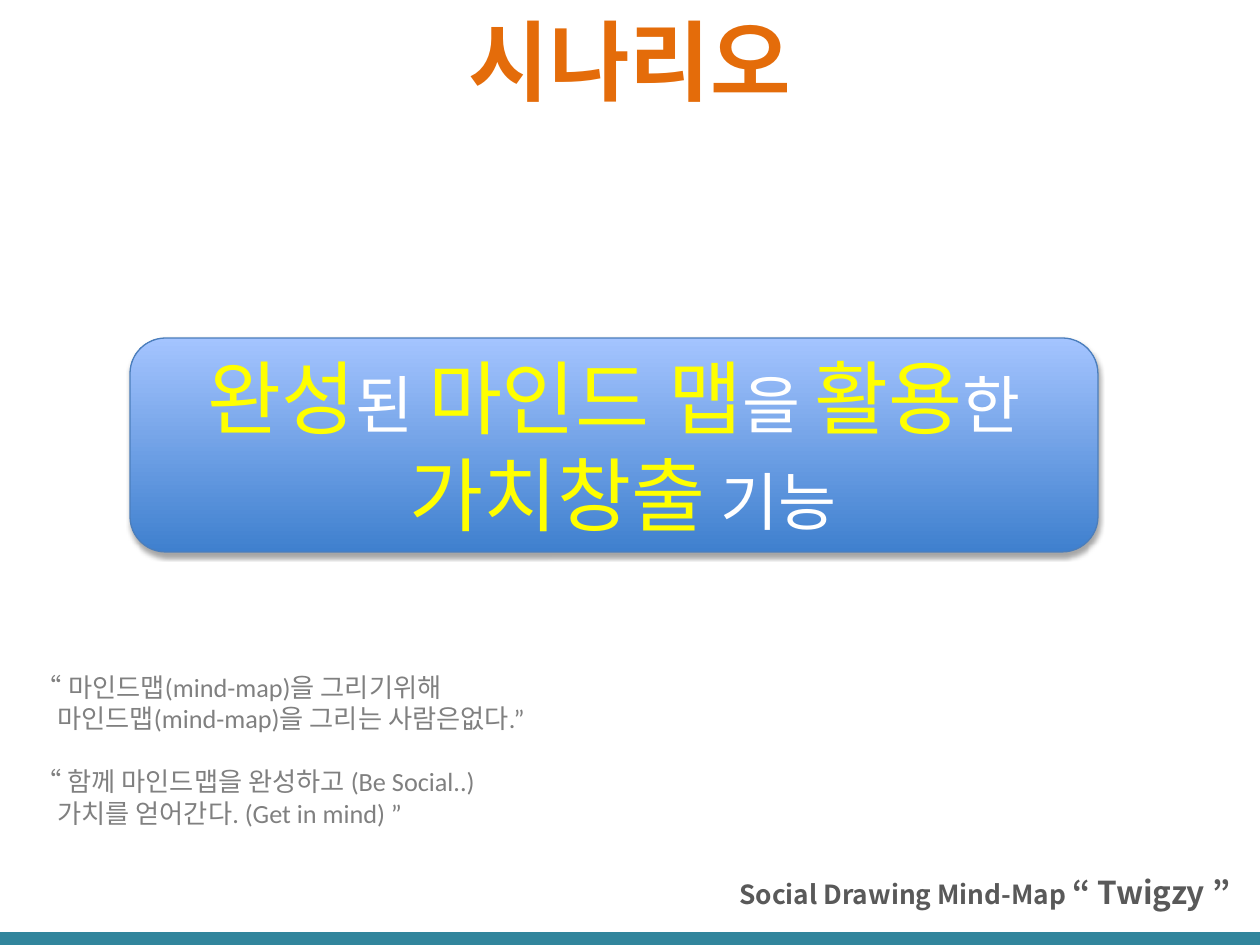
from dataclasses import dataclass

from lxml.etree import SubElement
from pptx import Presentation
from pptx.dml.color import RGBColor
from pptx.enum.shapes import MSO_SHAPE
from pptx.enum.text import MSO_ANCHOR, MSO_AUTO_SIZE, PP_ALIGN
from pptx.oxml.ns import qn
from pptx.util import Pt

EMU_PER_PX = 914400 / 126

HEADING = "시나리오"
MESSAGE = [
    (0, [("완성", True), ("된 ", False), ("마인드 맵", True), ("을 ", False),
         ("활용", True), ("한", False)]),
    (18, [("가치창출", True), (" 기능", False)]),
]
QUOTES = [
    ("“\t마인드맵(mind-map)을 그리기위해", 33, -33, 0),
    ("마인드맵(mind-map)을 그리는 사람은없다.”", 22, 0, 0),
    ("“ 함께 마인드맵을 완성하고 (Be Social..)", 0, 0, 18),
    ("가치를 얻어간다. (Get in mind) ”", 22, 0, 0),
]
TAGLINE = "Social Drawing Mind-Map "
PRODUCT = "“ Twigzy ”"

HEADING_BOX = (456, 1, 379, 118)
MESSAGE_BOX = (130, 338, 968, 214)
QUOTES_BOX = (23, 665, 861, 171)
TAGLINE_BOX = (727, 867, 869, 50)
BAR_BOX = (0, 932, 1260, 16)


@dataclass(frozen=True)
class Theme:
    latin: str = "Calibri"
    korean: str = "Noto Sans CJK KR"
    heading: str = "E46C0A"
    accent: str = "FFFF00"
    plain: str = "FFFFFF"
    quote: str = "808080"
    tagline: str = "595959"
    bar: str = "31859C"
    outline: str = "4B7EBC"
    gradient: tuple = ("3F80CE", "A4C4FF")
    shadow: str = "000000"
    heading_size: int = 50
    accent_size: int = 46
    plain_size: int = 36
    quote_size: int = 15
    tagline_size: int = 15
    product_size: int = 18


THEME = Theme()


def px(length):
    return round(length * EMU_PER_PX)


def place(box):
    return [px(length) for length in box]


def color(code):
    return RGBColor.from_string(code)


def write(paragraph, text, *, size, ink, bold=False, font=THEME.latin):
    run = paragraph.add_run()
    run.text = text
    run.font.size = Pt(size)
    run.font.bold = bold
    run.font.color.rgb = color(ink)
    run.font.name = font
    SubElement(run.font._element, qn("a:ea"), typeface=THEME.korean)


def next_paragraph(frame, index):
    return frame.add_paragraph() if index else frame.paragraphs[0]


def indent(paragraph, left, first=0):
    properties = paragraph._p.get_or_add_pPr()
    properties.set("marL", str(px(left)))
    properties.set("indent", str(px(first)))


def add_bar(slide):
    bar = slide.shapes.add_shape(MSO_SHAPE.RECTANGLE, *place(BAR_BOX))
    bar.shadow.inherit = False
    bar.fill.solid()
    bar.fill.fore_color.rgb = color(THEME.bar)
    bar.line.fill.background()


def add_tagline(slide):
    frame = slide.shapes.add_textbox(*place(TAGLINE_BOX)).text_frame
    frame.word_wrap = True
    paragraph = frame.paragraphs[0]
    paragraph.alignment = PP_ALIGN.JUSTIFY
    for text, size in ((TAGLINE, THEME.tagline_size), (PRODUCT, THEME.product_size)):
        write(paragraph, text, size=size, ink=THEME.tagline, bold=True, font=THEME.korean)


def add_heading(slide):
    heading = slide.shapes.title
    heading.left, heading.top, heading.width, heading.height = place(HEADING_BOX)
    frame = heading.text_frame
    frame.word_wrap = False
    frame.auto_size = MSO_AUTO_SIZE.NONE
    frame.vertical_anchor = MSO_ANCHOR.TOP
    paragraph = frame.paragraphs[0]
    paragraph.alignment = PP_ALIGN.LEFT
    write(paragraph, HEADING, size=THEME.heading_size, ink=THEME.heading, bold=True)


def add_message(slide):
    panel = slide.shapes.add_shape(MSO_SHAPE.ROUNDED_RECTANGLE, *place(MESSAGE_BOX))
    panel.fill.gradient()
    panel.fill.gradient_angle = 90
    for stop, code in zip(panel.fill.gradient_stops, THEME.gradient):
        stop.color.rgb = color(code)
    panel.line.color.rgb = color(THEME.outline)
    panel.line.width = Pt(0.75)
    panel.shadow.inherit = False
    effects = panel._element.spPr.find(qn("a:effectLst"))
    shadow = SubElement(effects, qn("a:outerShdw"), blurRad=str(Pt(3.1)),
                        dist=str(Pt(1.8)), dir="5400000", rotWithShape="0")
    tint = SubElement(shadow, qn("a:srgbClr"), val=THEME.shadow)
    SubElement(tint, qn("a:alpha"), val="35000")

    frame = panel.text_frame
    frame.word_wrap = True
    frame.vertical_anchor = MSO_ANCHOR.MIDDLE
    for index, (left, phrases) in enumerate(MESSAGE):
        paragraph = next_paragraph(frame, index)
        paragraph.alignment = PP_ALIGN.CENTER
        indent(paragraph, left)
        for text, accented in phrases:
            write(paragraph, text,
                  size=THEME.accent_size if accented else THEME.plain_size,
                  ink=THEME.accent if accented else THEME.plain)


def add_quotes(slide):
    frame = slide.shapes.add_textbox(*place(QUOTES_BOX)).text_frame
    frame.word_wrap = True
    for index, (text, left, first, gap) in enumerate(QUOTES):
        paragraph = next_paragraph(frame, index)
        indent(paragraph, left, first)
        if gap:
            paragraph.space_before = Pt(gap)
        write(paragraph, text, size=THEME.quote_size, ink=THEME.quote)


def main():
    deck = Presentation()
    deck.slide_width, deck.slide_height = px(1260), px(945)
    slide = deck.slides.add_slide(deck.slide_layouts.get_by_name("Title Only"))
    add_bar(slide)
    add_tagline(slide)
    add_heading(slide)
    add_message(slide)
    add_quotes(slide)
    deck.save("out.pptx")


if __name__ == "__main__":
    main()
